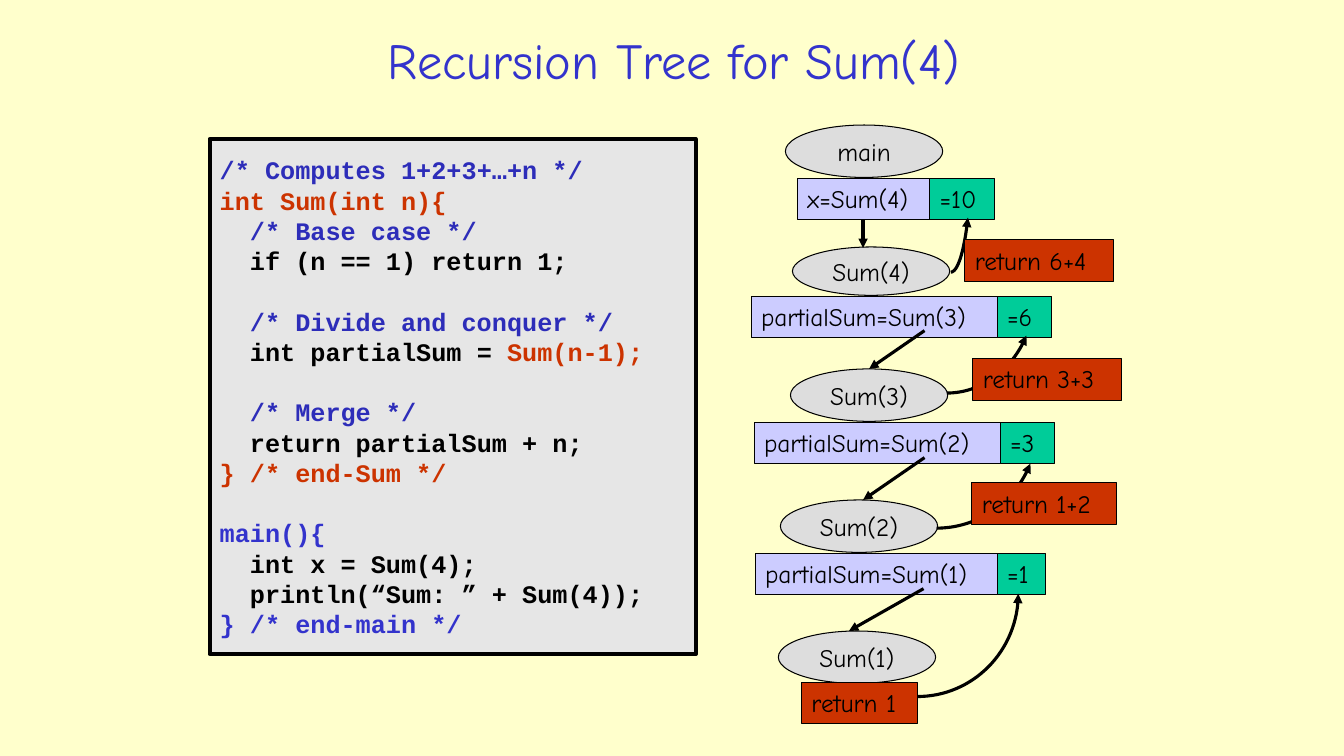
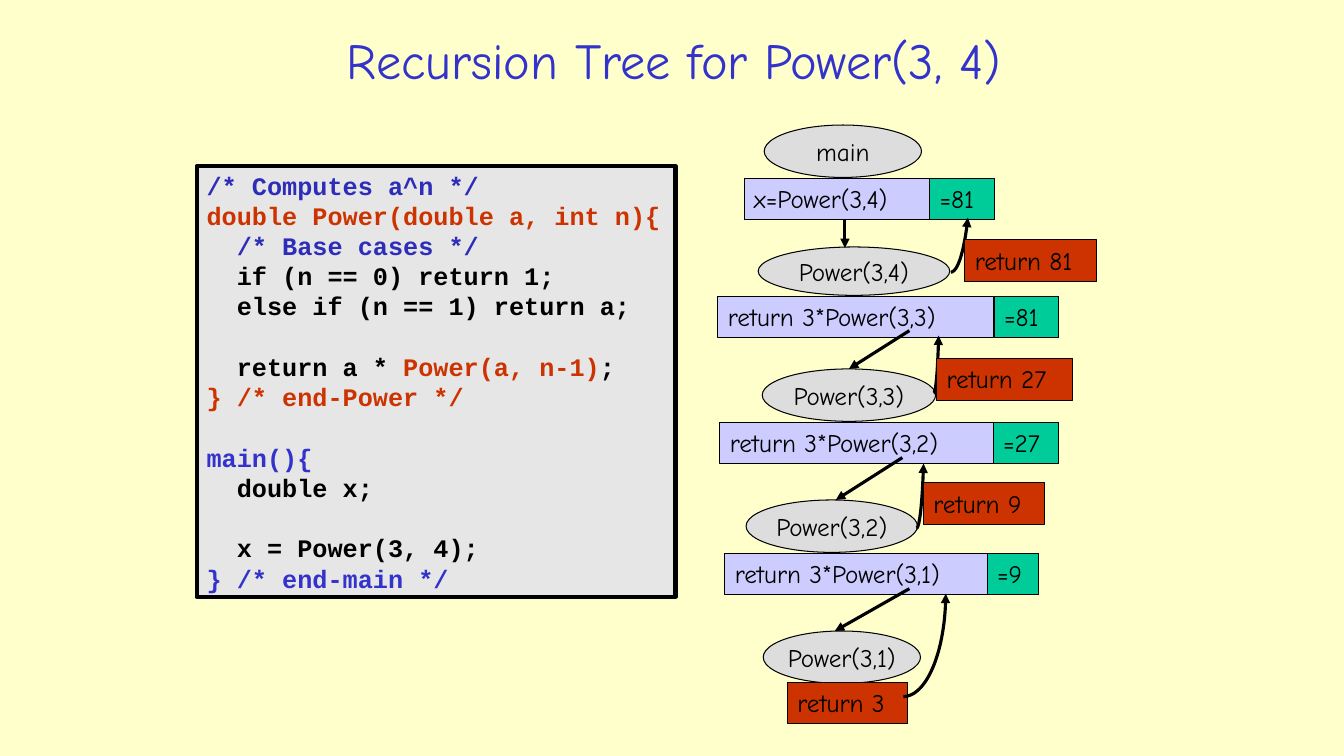
from math import acos, cos, sin

from pptx import Presentation
from pptx.dml.color import RGBColor
from pptx.enum.shapes import MSO_CONNECTOR as Link, MSO_SHAPE as Shape
from pptx.enum.text import MSO_ANCHOR as Anchor, PP_ALIGN as Align
from pptx.oxml.ns import qn
from pptx.util import Inches, Pt
from lxml.etree import SubElement

CREAM, BLACK, BLUE, NAVY, RED = "FFFFCC", "000000", "3333CC", "2D2DB9", "CC3300"
PALE, GREY, LILAC, GREEN = "E6E6E6", "DDDDDD", "CCCCFF", "00CC99"
INK = {"k": BLACK, "b": BLUE, "n": NAVY, "r": RED}
SANS, MONO = "Comic Neue", "Courier New"
HIGH = 0.41

# For each call: tops of its line, its oval (with height) and its return,
# then the heights at which the arrow and the arc start and end, and the arc centre.
ROWS = [
    (1.77, 2.45, 0.48, 2.38, (2.18, 2.46), (2.7, 2.16, 1.59)),
    (2.94, 3.66, 0.52, 3.56, (3.28, 3.66), (3.9, 3.33, 2.9)),
    (4.19, 4.96, 0.52, 4.79, (4.54, 4.96), (5.24, 4.6, 4.21)),
    (5.49, 6.26, 0.52, 6.77, (5.84, 6.26), (6.91, 5.89, 5.89)),
]

# Each step: line, oval, result and return as (text, left, width),
# then the left and right ends of the arrow and of the arc.
SUM = [
    (("x=Sum(4)", 7.91, 1.32), ("Sum(4)", 7.86, 1.56), ("=10", 9.22, 0.64),
     ("return 6+4", 9.57, 1.47), (8.56, 8.56), (9.43, 9.6)),
    (("partialSum=Sum(3)", 7.45, 2.44), ("Sum(3)", 7.84, 1.56), ("=6", 9.89, 0.54),
     ("return 3+3", 9.65, 1.47), (9.17, 8.62), (9.39, 10.18)),
    (("partialSum=Sum(2)", 7.48, 2.44), ("Sum(2)", 7.74, 1.56), ("=3", 9.92, 0.54),
     ("return 1+2", 9.64, 1.43), (9.17, 8.56), (9.29, 10.22)),
    (("partialSum=Sum(1)", 7.49, 2.4), ("Sum(1)", 7.72, 1.56), ("=1", 9.89, 0.48),
     ("return 1", 7.95, 1.15), (9.16, 8.42), (9.1, 10.1)),
]
POWER = [
    (("x=Power(3,4)", 7.38, 1.86), ("Power(3,4)", 7.52, 1.9), ("=81", 9.22, 0.64),
     ("return 81", 9.57, 1.31), (8.38, 8.38), (9.43, 9.6)),
    (("return 3*Power(3,3)", 7.12, 2.73), ("Power(3,3)", 7.56, 1.72), ("=81", 9.86, 0.64),
     ("return 27", 9.29, 1.35), (9.02, 8.42), (9.26, 9.31)),
    (("return 3*Power(3,2)", 7.14, 2.75), ("Power(3,2)", 7.4, 1.7), ("=27", 9.85, 0.65),
     ("return 9", 9.16, 1.2), (8.95, 8.29), (9.09, 9.16)),
    (("return 3*Power(3,1)", 7.19, 2.74), ("Power(3,1)", 7.57, 1.56), ("=9", 9.79, 0.51),
     ("return 3", 7.81, 1.19), (9.02, 8.28), (8.96, 9.38)),
]

# Runs are split by "|"; the first letter of a run names its ink.
SUM_CODE = [
    "n/* Computes 1+2+3+…+n */",
    "rint Sum(int n){",
    "k  |n/* Base case */",
    "k  if (n == 1) return 1;",
    "",
    "k  |n/* Divide and conquer */",
    "k  int partialSum = |rSum(n-1);",
    "",
    "k  |n/* Merge */",
    "k  return partialSum + n;",
    "r} /* end-Sum */",
    "",
    "bmain(){",
    "k  int x = Sum(4);",
    "k  println(“Sum: ” + Sum(4));",
    "b} /* end-main */",
]
POWER_CODE = [
    "n/* Computes a^n */",
    "rdouble Power(double a, int n){",
    "k  |n/* Base cases */",
    "k  if (n == 0) return 1;",
    "k  else if (n == 1) return a;",
    "",
    "k  return a * |rPower(a, n-1)|k;",
    "r} /* end-Power */",
    "",
    "bmain(){",
    "k  double x;",
    "",
    "k  x = Power(3, 4);",
    "b} /* end-main */",
]


def rgb(code):
    return RGBColor.from_string(code)


class Deck:
    def __init__(self):
        self.prs = Presentation()
        self.prs.slide_width, self.prs.slide_height = Inches(13.33), Inches(7.5)
        fill = self.prs.slide_master.background.fill
        fill.solid()
        fill.fore_color.rgb = rgb(CREAM)

    def page(self, title):
        self.slide = self.prs.slides.add_slide(self.prs.slide_layouts[6])
        self.shapes = self.slide.shapes
        box = self.shapes.add_textbox(*map(Inches, (1.9, 0.24, 9.57, 0.7)))
        frame = box.text_frame
        frame.word_wrap = True
        frame.vertical_anchor = Anchor.MIDDLE
        para = frame.paragraphs[0]
        para.alignment = Align.CENTER
        self.run(para, title, BLUE, size=36)

    def run(self, para, text, ink=BLACK, face=SANS, size=18, bold=False):
        run = para.add_run()
        run.text = text
        font = run.font
        font.name, font.size, font.bold = face, Pt(size), bold
        font.color.rgb = rgb(ink)

    def shape(self, kind, at, fill, line=0.75):
        shape = self.shapes.add_shape(kind, *map(Inches, at))
        shape.shadow.inherit = False
        shape.fill.solid()
        shape.fill.fore_color.rgb = rgb(fill)
        shape.line.color.rgb = rgb(BLACK)
        shape.line.width = Pt(line)
        return shape.text_frame

    def box(self, label, top, fill):
        text, left, wide = label
        frame = self.shape(Shape.RECTANGLE, (left, top, wide, HIGH), fill)
        frame.word_wrap = True
        frame.vertical_anchor = Anchor.TOP
        para = frame.paragraphs[0]
        para.alignment = Align.LEFT
        self.run(para, text)

    def oval(self, label, top, high=0.52):
        text, left, wide = label
        frame = self.shape(Shape.OVAL, (left, top, wide, high), GREY)
        frame.word_wrap = False
        frame.vertical_anchor = Anchor.MIDDLE
        para = frame.paragraphs[0]
        para.alignment = Align.CENTER
        self.run(para, text)

    def code(self, at, lines):
        frame = self.shape(Shape.RECTANGLE, at, PALE, 3)
        frame.word_wrap = True
        frame.vertical_anchor = Anchor.MIDDLE
        for i, line in enumerate(lines):
            para = frame.add_paragraph() if i else frame.paragraphs[0]
            para.alignment = Align.LEFT
            para.line_spacing = Pt(21.6)
            for part in filter(None, line.split("|")):
                self.run(para, part[1:], INK[part[0]], MONO, bold=True)
            if not line:
                end = SubElement(para._p, qn("a:endParaRPr"), sz="1800")
                SubElement(end, qn("a:latin"), typeface=MONO)

    def head(self, line):
        """Give a line its weight and an arrowhead at its end."""
        line.color.rgb = rgb(BLACK)
        line.width = Pt(2.25)
        SubElement(line._get_or_add_ln(), qn("a:tailEnd"), type="triangle")

    def arrow(self, xs, ys):
        ends = (xs[0], ys[0], xs[1], ys[1])
        link = self.shapes.add_connector(Link.STRAIGHT, *map(Inches, ends))
        self.head(link.line)
        SubElement(link._element.spPr, qn("a:effectLst"))

    def arc(self, xs, ys, steps=32):
        """Draw part of an ellipse from its lowest point up to the right."""
        start, end, mid = ys
        high = start - mid
        sweep = acos((end - mid) / high)
        wide = (xs[1] - xs[0]) / sin(sweep)
        turns = [sweep * i / steps for i in range(steps + 1)]
        dots = [(Inches(xs[0] + wide * sin(t)), Inches(mid + high * cos(t)))
                for t in turns]
        path = self.shapes.build_freeform(*dots[0])
        path.add_line_segments(dots[1:], close=False)
        curve = path.convert_to_shape()
        curve.shadow.inherit = False
        curve.fill.background()
        self.head(curve.line)

    def tree(self, root, steps):
        self.oval(("main", root, 1.56), 1.24)
        for row, step in zip(ROWS, steps):
            top, low, high, back, drop, rise = row
            call, name, value, out, slant, bend = step
            self.box(call, top, LILAC)
            self.oval(name, low, high)
            self.arrow(slant, drop)
            self.box(value, top, GREEN)
            base = step is steps[-1]
            if base:
                self.box(out, back, RED)
            self.arc(bend, rise)
            if not base:
                self.box(out, back, RED)


def main():
    deck = Deck()
    deck.page("Recursion Tree for Sum(4)")
    deck.code((2.08, 1.38, 4.82, 5.11), SUM_CODE)
    deck.tree(7.79, SUM)
    deck.page("Recursion Tree for Power(3, 4)")
    deck.code((1.95, 1.65, 4.75, 4.27), POWER_CODE)
    deck.tree(7.58, POWER)
    deck.prs.save("out.pptx")


if __name__ == "__main__":
    main()
